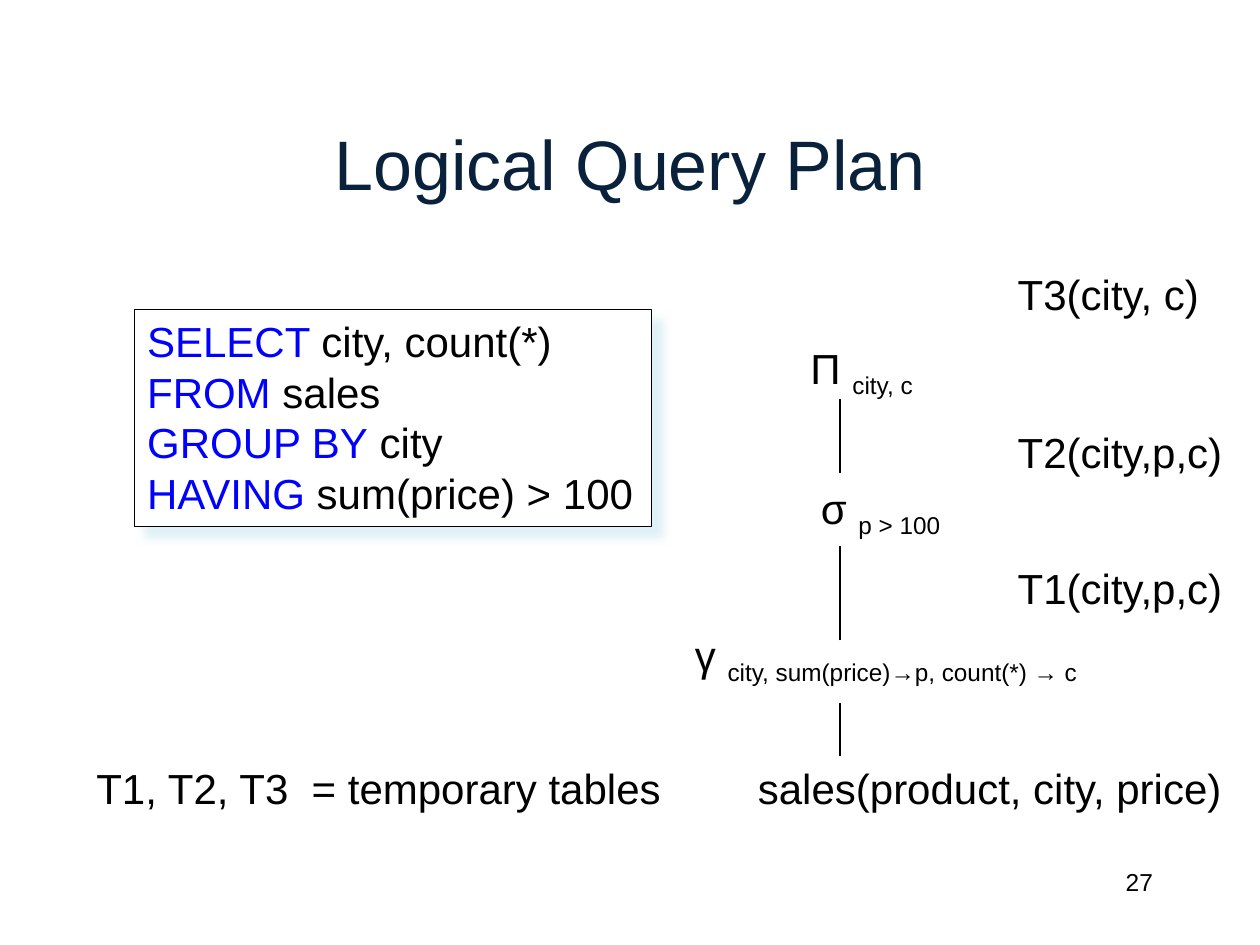
from dataclasses import dataclass

from lxml.etree import SubElement
from pptx import Presentation
from pptx.dml.color import RGBColor
from pptx.enum.shapes import MSO_CONNECTOR, MSO_SHAPE
from pptx.enum.text import MSO_ANCHOR, MSO_AUTO_SIZE, PP_ALIGN
from pptx.oxml.ns import qn
from pptx.util import Pt

FONT = "Arial"
BLACK, WHITE, NAVY, KEYWORD_BLUE = "000000", "FFFFFF", "09213B", "0000FF"
SHADOW_BLUE = "D5EDF4"
BODY_SIZE = 24
LABEL_HEIGHT = 36
TREE_X = 480


@dataclass
class Piece:
    text: str
    color: str = BLACK
    size: float = BODY_SIZE
    subscript: bool = False


@dataclass
class Label:
    left: float
    top: float
    width: float
    pieces: list[Piece]
    wrap: bool = False
    grow: bool = True
    align: PP_ALIGN = PP_ALIGN.LEFT
    anchor: MSO_ANCHOR = MSO_ANCHOR.TOP


@dataclass
class Edge:
    """A vertical tree edge from the lower operator up to the next."""
    bottom: float
    top: float


QUERY = [
    [Piece("SELECT ", KEYWORD_BLUE), Piece("city, count(*)")],
    [Piece("FROM", KEYWORD_BLUE), Piece(" sales")],
    [Piece("GROUP BY", KEYWORD_BLUE), Piece(" city")],
    [Piece("HAVING ", KEYWORD_BLUE), Piece("sum(price) > 100")],
]


def operator(symbol: str, condition: str) -> list[Piece]:
    return [Piece(f"{symbol} "), Piece(condition, subscript=True)]


LABELS = [
    Label(426, 432, 282, [Piece("sales(product, city, price)")]),
    Label(390, 356, 276, operator("γ", "city, sum(price)→p, count(*) → c"), wrap=True),
    Label(462, 272, 89, operator("σ", "p > 100")),
    Label(456, 192, 79, operator("Π", "city, c")),
    Label(574.5, 318, 132.5, [Piece("T1(city,p,c)")]),
    Label(574.5, 240, 132.5, [Piece("T2(city,p,c)")]),
    Label(574.5, 150, 119, [Piece("T3(city, c)")]),
    Label(48, 432, 340.5, [Piece("T1, T2, T3  = temporary tables")],
          anchor=MSO_ANCHOR.MIDDLE),
    Label(516, 492, 150, [Piece("27", size=14)], wrap=True, grow=False,
          align=PP_ALIGN.RIGHT),
]
EDGES = [Edge(432, 402), Edge(366, 312), Edge(270, 228)]


def rgb(color: str) -> RGBColor:
    return RGBColor.from_string(color)


def add_pieces(paragraph, pieces: list[Piece]) -> None:
    for piece in pieces:
        run = paragraph.add_run()
        run.text = piece.text
        run.font.name = FONT
        run.font.size = Pt(piece.size)
        run.font.color.rgb = rgb(piece.color)
        if piece.subscript:
            run._r.get_or_add_rPr().set("baseline", "-25000")


def add_title(slide) -> None:
    title = slide.shapes.title
    title.left, title.top, title.width, title.height = Pt(54), Pt(48), Pt(612), Pt(90)
    title.text_frame.vertical_anchor = MSO_ANCHOR.MIDDLE
    paragraph = title.text_frame.paragraphs[0]
    paragraph.alignment = PP_ALIGN.CENTER
    add_pieces(paragraph, [Piece("Logical Query Plan", NAVY, 40)])


def add_soft_shadow(shape) -> None:
    shape.shadow.inherit = False
    effects = shape._element.spPr.find(qn("a:effectLst"))
    shadow = SubElement(effects, qn("a:outerShdw"), blurRad=str(Pt(5)),
                        dist=str(Pt(8.5)), dir=str(45 * 60000),
                        algn="tl", rotWithShape="0")
    color = SubElement(shadow, qn("a:srgbClr"), val=SHADOW_BLUE)
    SubElement(color, qn("a:alpha"), val="75000")


def add_query(slide) -> None:
    box = slide.shapes.add_shape(MSO_SHAPE.RECTANGLE, Pt(77), Pt(177), Pt(295.5), Pt(124))
    box.fill.solid()
    box.fill.fore_color.rgb = rgb(WHITE)
    box.line.color.rgb = rgb(BLACK)
    box.line.width = Pt(0.75)
    add_soft_shadow(box)
    frame = box.text_frame
    frame.word_wrap = False
    frame.auto_size = MSO_AUTO_SIZE.SHAPE_TO_FIT_TEXT
    frame.vertical_anchor = MSO_ANCHOR.TOP
    for index, pieces in enumerate(QUERY):
        paragraph = frame.add_paragraph() if index else frame.paragraphs[0]
        paragraph.alignment = PP_ALIGN.LEFT
        add_pieces(paragraph, pieces)


def add_label(slide, label: Label) -> None:
    box = slide.shapes.add_textbox(Pt(label.left), Pt(label.top),
                                   Pt(label.width), Pt(LABEL_HEIGHT))
    frame = box.text_frame
    frame.word_wrap = label.wrap
    frame.auto_size = MSO_AUTO_SIZE.SHAPE_TO_FIT_TEXT if label.grow else MSO_AUTO_SIZE.NONE
    frame.vertical_anchor = label.anchor
    frame.paragraphs[0].alignment = label.align
    add_pieces(frame.paragraphs[0], label.pieces)


def add_edge(slide, edge: Edge) -> None:
    line = slide.shapes.add_connector(MSO_CONNECTOR.STRAIGHT, Pt(TREE_X), Pt(edge.bottom),
                                      Pt(TREE_X), Pt(edge.top))
    line.line.color.rgb = rgb(BLACK)
    line.line.width = Pt(0.75)
    SubElement(line._element.spPr, qn("a:effectLst"))


def main() -> None:
    presentation = Presentation()
    presentation.slide_width, presentation.slide_height = Pt(720), Pt(540)
    slide = presentation.slides.add_slide(presentation.slide_layouts[5])
    add_title(slide)
    add_query(slide)
    for label in LABELS:
        add_label(slide, label)
    for edge in EDGES:
        add_edge(slide, edge)
    presentation.save("out.pptx")


if __name__ == "__main__":
    main()
